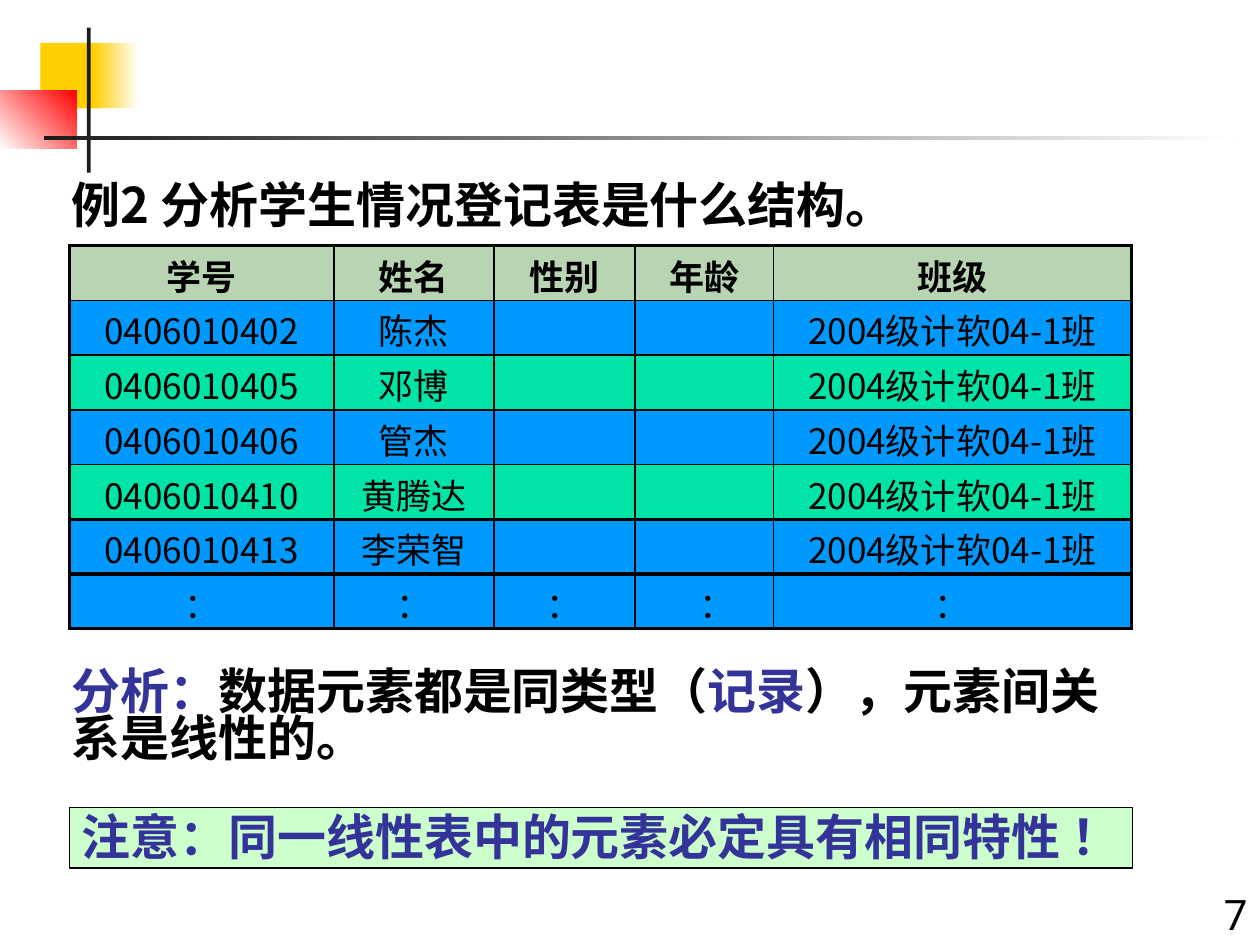
from lxml.etree import SubElement
from pptx import Presentation
from pptx.dml.color import RGBColor
from pptx.enum.shapes import MSO_SHAPE
from pptx.enum.text import MSO_ANCHOR, MSO_AUTO_SIZE, PP_ALIGN
from pptx.oxml.ns import qn
from pptx.util import Inches, Pt

THEME = {
    "font": "Noto Sans CJK SC", "serif": "Times New Roman", "num": "Roboto",
    "black": "000000", "white": "FFFFFF", "dark": "1C1C1C", "navy": "333399",
    "gold": "FFCF01", "red": "FF0000", "sage": "B8D4B2", "blue": "0099FF",
    "green": "00E4A8", "mint": "CCFFCC",
    "head": 28, "cell": 20, "page": 24, "thin": 1, "thick": 2.25,
}
TITLE = "例2 分析学生情况登记表是什么结构。"
CLASS = "2004级计软04-1班"
PEOPLE = [
    ("0406010402", "陈杰"),
    ("0406010405", "邓博"),
    ("0406010406", "管杰"),
    ("0406010410", "黄腾达"),
    ("0406010413", "李荣智"),
]
ROWS = [
    ("学号", "姓名", "性别", "年龄", "班级"),
    *[(code, name, "", "", CLASS) for code, name in PEOPLE],
    ("：",) * 5,
]
FILLS = ["sage", "blue", "green", "blue", "green", "blue", "blue"]
WIDTHS = [2.1, 1.27, 1.12, 1.1, 2.84]
HEIGHT = 3.04
HEAVY_ROWS = {0, 5, 6, 7}
HEAVY_COLS = {0, 5}
NOTES = [
    ("分析：", "navy"),
    ("数据元素都是同类型（", "black"),
    ("记录", "navy"),
    ("），元素间关系是线性的。", "black"),
]
WARN = "注意：同一线性表中的元素必定具有相同特性 ！"
DECOR = [
    ((0.32, 0.34, 0.48, 0.52), ("gold",), 0),
    ((0.74, 0.34, 0.36, 0.52), ("gold", "white"), 0),
    ((0, 0.72, 0.61, 0.46), ("white", "red"), 45),
    ((0.69, 0.22, 0.03, 1.15), ("dark",), 0),
    ((0.35, 1.08, 9.45, 0.03), ("dark", "white"), 0),
]


def color(name):
    return RGBColor.from_string(THEME[name])


def write(frame, text, size="head", font="font", ink="black", bold=True,
          align=PP_ALIGN.LEFT, anchor=MSO_ANCHOR.TOP, top=0.05, line=None):
    frame.word_wrap = True
    frame.auto_size = MSO_AUTO_SIZE.NONE
    frame.vertical_anchor = anchor
    frame.margin_left = frame.margin_right = Inches(0.1)
    frame.margin_top, frame.margin_bottom = Inches(top), 0
    para = frame.paragraphs[0]
    para.alignment = align
    if line:
        para.line_spacing = Pt(line)
    parts = [(text, ink)] if isinstance(text, str) else text
    for words, tint in parts:
        run = para.add_run()
        run.text = words
        run.font.size = Pt(THEME[size])
        run.font.bold = bold
        run.font.color.rgb = color(tint)
        run.font.name = THEME[font]
        SubElement(run.font._element, qn("a:ea"), typeface=THEME["font"])


def block(slide, box, inks, angle=0):
    shape = slide.shapes.add_shape(MSO_SHAPE.RECTANGLE, *map(Inches, box))
    shape.shadow.inherit = False
    shape.line.fill.background()
    if len(inks) == 1:
        shape.fill.solid()
        shape.fill.fore_color.rgb = color(inks[0])
    else:
        shape.fill.gradient()
        shape.fill.gradient_angle = angle
        for stop, ink in zip(shape.fill.gradient_stops, inks):
            stop.color.rgb = color(ink)
    return shape


def edge(cell, row, col):
    props = cell._tc.get_or_add_tcPr()
    sides = [("L", col in HEAVY_COLS), ("R", col + 1 in HEAVY_COLS),
             ("T", row in HEAVY_ROWS), ("B", row + 1 in HEAVY_ROWS)]
    for side, heavy in sides:
        width = Pt(THEME["thick" if heavy else "thin"])
        line = SubElement(props, qn(f"a:ln{side}"), w=str(width))
        fill = SubElement(line, qn("a:solidFill"))
        SubElement(fill, qn("a:srgbClr"), val=THEME["black"])


def grid(slide):
    box = map(Inches, (0.55, 1.95, sum(WIDTHS), HEIGHT))
    table = slide.shapes.add_table(len(ROWS), len(WIDTHS), *box).table
    for col, width in zip(table.columns, WIDTHS):
        col.width = Inches(width)
    for r, texts in enumerate(ROWS):
        table.rows[r].height = Inches(HEIGHT / len(ROWS))
        for c, text in enumerate(texts):
            cell = table.cell(r, c)
            edge(cell, r, c)
            cell.fill.solid()
            cell.fill.fore_color.rgb = color(FILLS[r])
            if text:
                write(cell.text_frame, text, size="cell", bold=r == 0,
                      align=PP_ALIGN.CENTER)
            cell.margin_top, cell.margin_bottom = Inches(0.03), 0
    table.cell(len(ROWS) - 1, 3).margin_left = Inches(0.3)


def main():
    deck = Presentation()
    deck.slide_width, deck.slide_height = Inches(10), Inches(7.5)
    slide = deck.slides.add_slide(deck.slide_layouts[5])
    for box, inks, angle in DECOR:
        block(slide, box, inks, angle)

    title = slide.shapes.title
    title.left, title.top, title.width, title.height = map(
        Inches, (0.47, 1.33, 8.27, 0.57))
    write(title.text_frame, TITLE, anchor=MSO_ANCHOR.MIDDLE, top=0)

    grid(slide)

    notes = slide.shapes.add_textbox(*map(Inches, (0.47, 5.23, 8.52, 0.85)))
    write(notes.text_frame, NOTES, font="serif", top=0.1, line=27)

    warn = block(slide, (0.55, 6.41, 8.44, 0.48), ("mint",))
    warn.line.color.rgb = color("black")
    warn.line.width = Pt(0.75)
    write(warn.text_frame, WARN, ink="navy", align=PP_ALIGN.CENTER,
          top=0.08, line=27)

    page = slide.shapes.add_textbox(*map(Inches, (9.33, 7, 0.67, 0.5)))
    write(page.text_frame, "7", size="page", font="num", bold=False,
          align=PP_ALIGN.RIGHT)
    deck.save("out.pptx")


if __name__ == "__main__":
    main()
